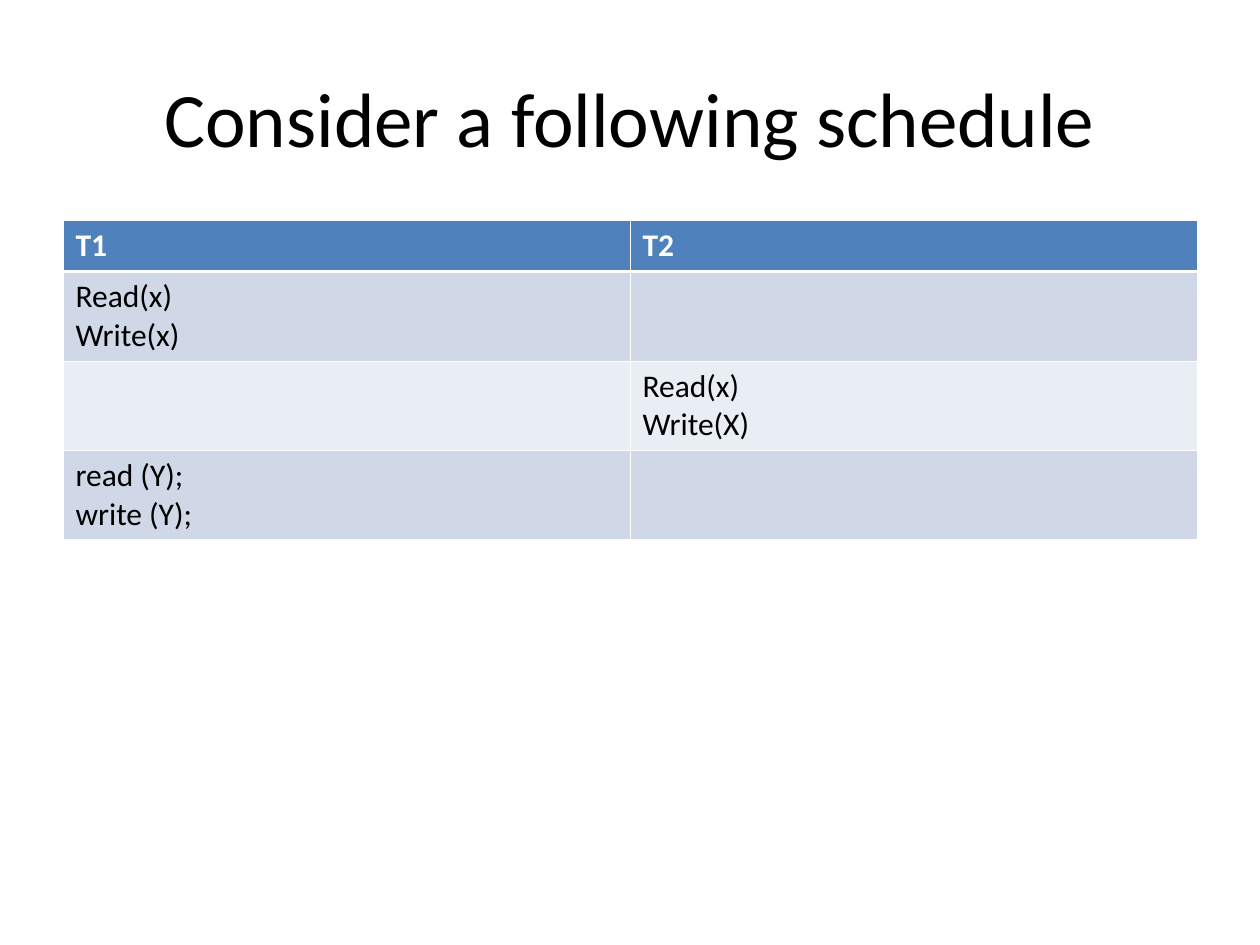
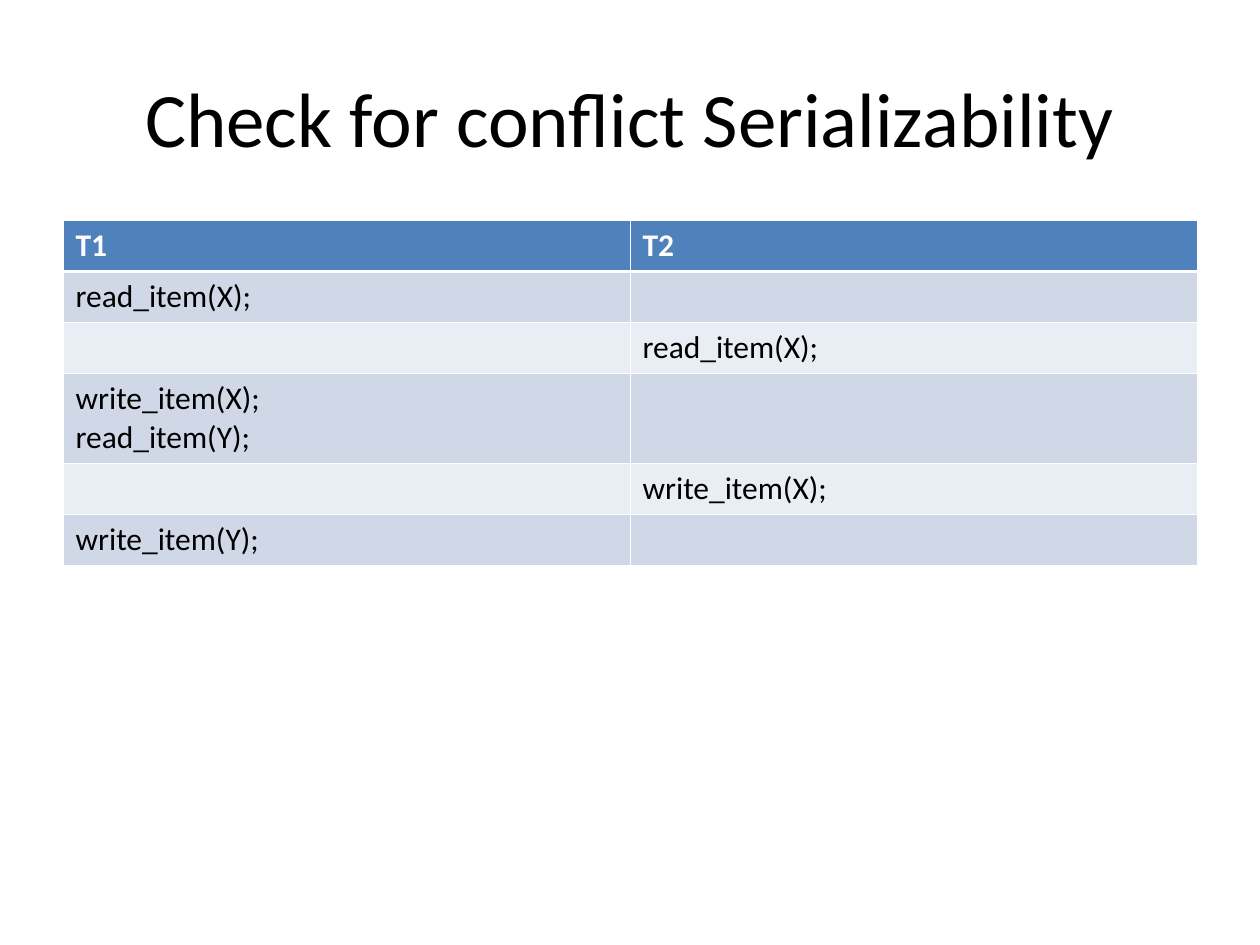
from lxml import etree
from pptx import Presentation
from pptx.dml.color import RGBColor
from pptx.enum.text import MSO_ANCHOR, PP_ALIGN
from pptx.oxml.ns import qn
from pptx.util import Pt

CENTER = PP_ALIGN.CENTER
MIDDLE = MSO_ANCHOR.MIDDLE

WHITE = RGBColor(0xFF, 0xFF, 0xFF)
BLACK = RGBColor(0x00, 0x00, 0x00)
HEADER_BLUE = RGBColor(0x4F, 0x81, 0xBD)
BAND_DARK = RGBColor(0xD0, 0xD8, 0xE8)
BAND_LIGHT = RGBColor(0xE9, 0xED, 0xF4)

FONT = "Calibri"
TITLE_SIZE, CELL_SIZE = 44, 18
LEFT, WIDTH = 36, 648
TITLE_TOP, TITLE_HEIGHT = 21.6, 90
TABLE_TOP = 126
LINE_HEIGHT, CELL_PADDING = 21.95, 7.2
THIN, THICK = 0.45, 1.47

TRANSACTIONS = ("T1", "T2")
SCHEDULES = [
    ("Consider a following schedule", [
        ("Read(x)\nWrite(x)", ""),
        ("", "Read(x)\nWrite(X)"),
        ("read (Y);\nwrite (Y);", ""),
    ]),
    ("Check for conflict Serializability", [
        ("read_item(X);", ""),
        ("", "read_item(X);"),
        ("write_item(X);\nread_item(Y);", ""),
        ("", "write_item(X);"),
        ("write_item(Y);", ""),
    ]),
]


def format_text(tf, size, color, bold=False):
    for p in tf.paragraphs:
        for r in p.runs:
            r.font.name = FONT
            r.font.size = Pt(size)
            r.font.bold = bold
            r.font.color.rgb = color


def add_title(s, title):
    box = s.shapes.add_textbox(Pt(LEFT), Pt(TITLE_TOP), Pt(WIDTH), Pt(TITLE_HEIGHT))
    tf = box.text_frame
    tf.word_wrap = True
    tf.vertical_anchor = MIDDLE
    tf.text = title
    tf.paragraphs[0].alignment = CENTER
    format_text(tf, TITLE_SIZE, BLACK)


def set_borders(cell, top, bottom):
    tc_pr = cell._tc.get_or_add_tcPr()
    sides = (("L", THIN), ("R", THIN), ("T", top), ("B", bottom))
    for i, (side, width) in enumerate(sides):
        ln = etree.Element(qn(f"a:ln{side}"), w=str(Pt(width)))
        fill = etree.SubElement(ln, qn("a:solidFill"))
        etree.SubElement(fill, qn("a:srgbClr"), val=str(WHITE))
        tc_pr.insert(i, ln)


def row_height(row):
    lines = max(text.count("\n") + 1 for text in row)
    return lines * LINE_HEIGHT + CELL_PADDING


def add_schedule(s, steps):
    rows = [TRANSACTIONS, *steps]
    heights = [row_height(row) for row in rows]
    columns = len(TRANSACTIONS)
    table = s.shapes.add_table(len(rows), columns, Pt(LEFT), Pt(TABLE_TOP),
                               Pt(WIDTH), Pt(sum(heights))).table
    for column in table.columns:
        column.width = Pt(WIDTH / columns)
    for i, row in enumerate(rows):
        table.rows[i].height = Pt(heights[i])
        header = i == 0
        band = HEADER_BLUE if header else BAND_DARK if i % 2 else BAND_LIGHT
        for j, text in enumerate(row):
            cell = table.cell(i, j)
            cell.fill.solid()
            cell.fill.fore_color.rgb = band
            set_borders(cell, THICK if i == 1 else THIN, THICK if header else THIN)
            cell.text_frame.text = text
            format_text(cell.text_frame, CELL_SIZE, WHITE if header else BLACK, header)


def main():
    prs = Presentation()
    prs.slide_width, prs.slide_height = Pt(720), Pt(540)
    for title, steps in SCHEDULES:
        s = prs.slides.add_slide(prs.slide_layouts[6])
        add_title(s, title)
        add_schedule(s, steps)
    prs.save("out.pptx")


if __name__ == "__main__":
    main()
